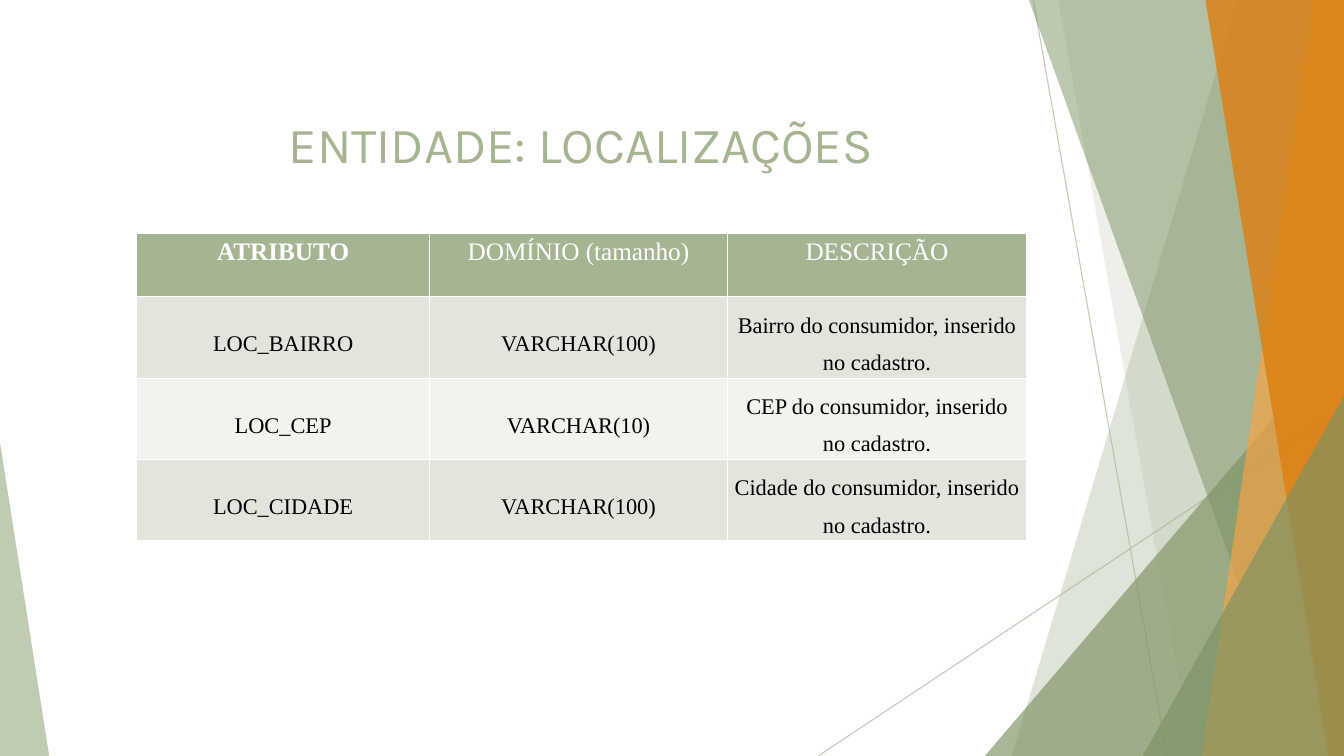
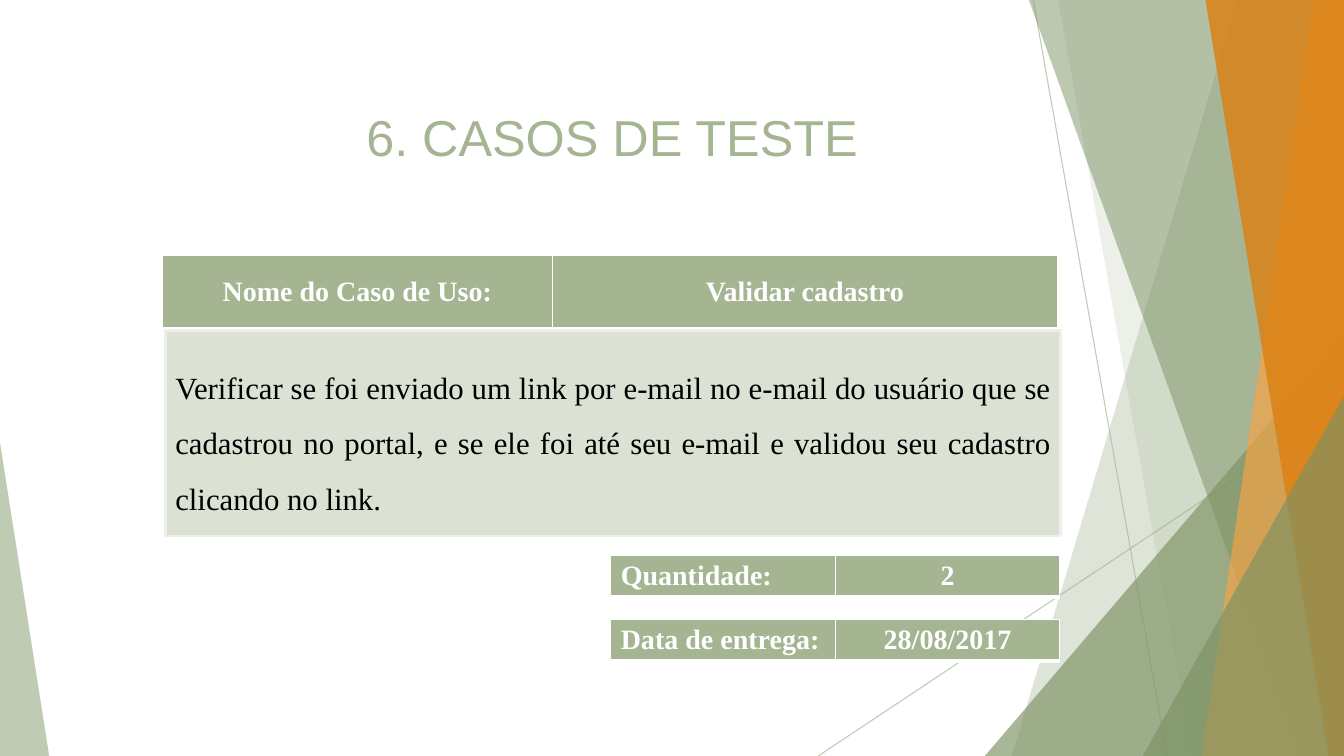
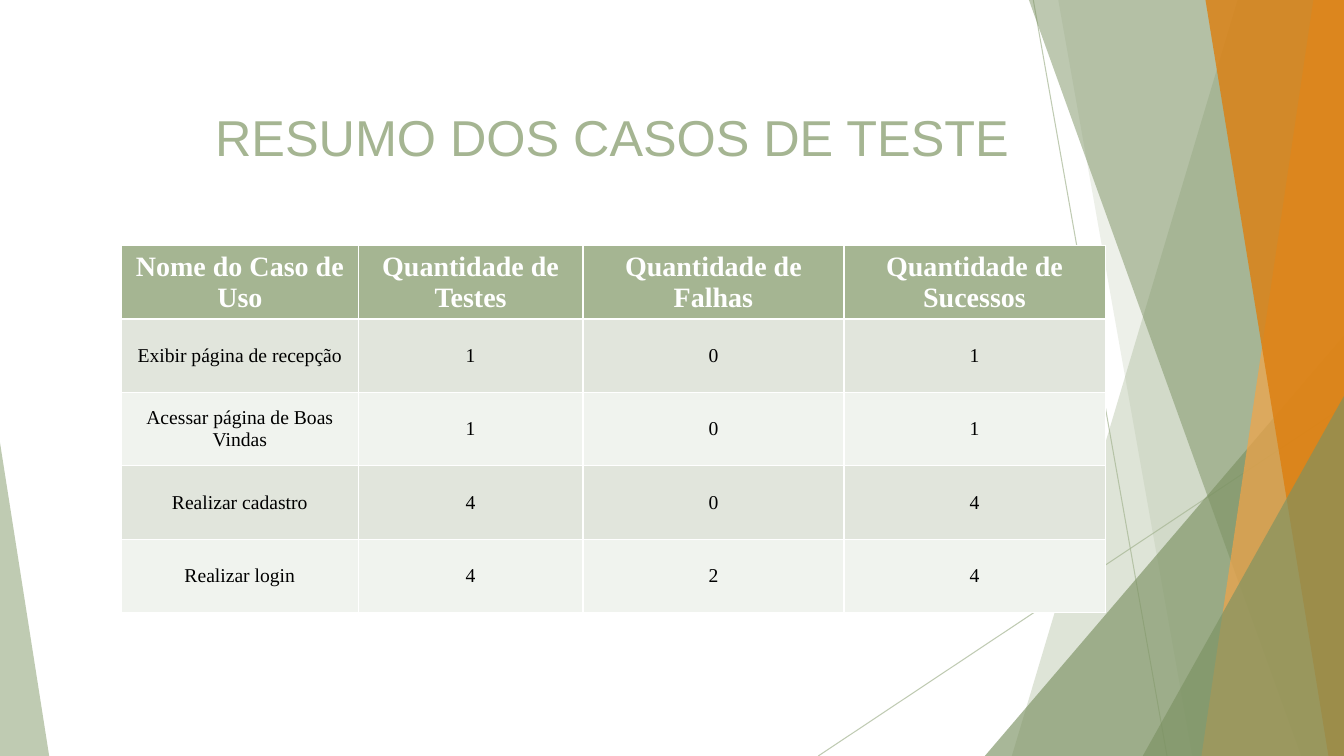
from dataclasses import dataclass

from lxml import etree
from pptx import Presentation
from pptx.dml.color import RGBColor
from pptx.enum.shapes import MSO_CONNECTOR, MSO_SHAPE
from pptx.enum.text import MSO_ANCHOR, MSO_AUTO_SIZE, PP_ALIGN
from pptx.oxml.ns import qn
from pptx.util import Cm, Pt


@dataclass(frozen=True)
class Theme:
    sage: str = "A5B592"
    moss: str = "7C9263"
    amber: str = "F3A447"
    orange: str = "DD7E0E"
    white: str = "FFFFFF"
    black: str = "000000"
    row_fills: tuple = ("E1E5DC", "F0F3EE")
    box_fill: str = "DBE1D3"
    box_line: str = "EDF0E9"
    serif: str = "Times New Roman"
    sans: str = "Arial"
    display: str = "Karla"
    title: int = 36
    box: int = 22
    header: int = 20
    header_small: int = 18
    body: int = 16
    body_small: int = 14


T = Theme()
W, H = 33.87, 19.05  # slide size in cm

# ---- Content (lengths in cm) ----
LOCATIONS = [
    ("ATRIBUTO", "DOMÍNIO (tamanho)", "DESCRIÇÃO"),
    ("LOC_BAIRRO", "VARCHAR(100)", "Bairro do consumidor, inserido no cadastro."),
    ("LOC_CEP", "VARCHAR(10)", "CEP do consumidor, inserido no cadastro."),
    ("LOC_CIDADE", "VARCHAR(100)", "Cidade do consumidor, inserido no cadastro."),
]
USE_CASE = [("Nome do Caso de Uso:", "Validar cadastro")]
USE_CASE_TEXT = (
    "Verificar se foi enviado um link por e-mail no e-mail do usuário que se "
    "cadastrou no portal, e se ele foi até seu e-mail e validou seu cadastro "
    "clicando no link."
)
FACTS = [("Quantidade:", "2"), ("Data de entrega:", "28/08/2017")]
SUMMARY = [
    ("Nome do Caso de Uso", "Quantidade de Testes",
     "Quantidade de Falhas", "Quantidade de Sucessos"),
    ("Exibir página de recepção", "1", "0", "1"),
    ("Acessar página de Boas Vindas", "1", "0", "1"),
    ("Realizar cadastro", "4", "0", "4"),
    ("Realizar login", "4", "2", "4"),
]

# ---- Background: hairlines, then bands and wedges from back to front ----
HAIRLINES = [(26.04, 0, 29.41, H), (W, 10.24, 20.62, H)]
BACKDROP = [  # band: top x, bottom x; wedge: left, top, width, apex side
    ("band", (31.19, 25.5), T.sage, 36),
    ("band", (26.67, 30.05), T.sage, 20),
    ("wedge", (24.82, 8.46, 9.05, 1), T.moss, 66),
    ("band", (25.93, 32.79), T.moss, 50),
    ("band", (33.1, 30.28), T.amber, 70),
    ("band", (30.38, 33.48), T.orange, 80),
    ("wedge", (28.8, 9.98, 5.07, 1), T.moss, 66),
    ("wedge", (0, 11.15, 1.24, 0), T.sage, 70),
]


def rgb(color):
    return RGBColor.from_string(color)


def set_alpha(shape, percent):
    for clr in shape.element.iter(qn("a:srgbClr")):
        etree.SubElement(clr, qn("a:alpha")).set("val", str(percent * 1000))


def add_hairline(s, x1, y1, x2, y2):
    line = s.shapes.add_connector(
        MSO_CONNECTOR.STRAIGHT, Cm(x1), Cm(y1), Cm(x2), Cm(y2))
    line.line.color.rgb = rgb(T.sage)
    line.line.width = Pt(0.75)
    etree.SubElement(line.element.spPr, qn("a:effectLst"))
    set_alpha(line, 70)
    return line


def add_backdrop_part(s, kind, place, color, percent):
    if kind == "band":
        top_x, bottom_x = place
        outline = s.shapes.build_freeform(Cm(top_x), 0)
        outline.add_line_segments(
            [(Cm(W), 0), (Cm(W), Cm(H)), (Cm(bottom_x), Cm(H))], close=True)
        sp = outline.convert_to_shape()
    else:
        left, top, width, apex = place
        sp = s.shapes.add_shape(MSO_SHAPE.ISOSCELES_TRIANGLE, Cm(left), Cm(top),
                                Cm(width), Cm(H - top))
        sp.adjustments[0] = apex
    sp.shadow.inherit = False
    sp.fill.solid()
    sp.fill.fore_color.rgb = rgb(color)
    sp.line.fill.background()
    set_alpha(sp, percent)
    return sp


def move_to_layout(parts, layout):
    """Put the parts behind the layout's placeholders, with ids of their own."""
    tree = layout.shapes.element
    for i, part in enumerate(parts):
        part.element.xpath("./*/p:cNvPr")[0].set("id", str(100 + i))
        tree.insert(2 + i, part.element)


def style_text(tf, size, color, font=T.serif, bold=False,
               align=PP_ALIGN.CENTER, spacing=None):
    for p in tf.paragraphs:
        p.alignment = align
        if spacing:
            p.line_spacing = spacing
        for r in p.runs:
            r.font.size = Pt(size)
            r.font.name = font
            r.font.bold = bold
            r.font.color.rgb = rgb(color)


def set_title(s, text, left=1.93, top=2.54, font=T.sans):
    title = s.shapes.title
    title.left, title.top, title.width, title.height = (
        Cm(left), Cm(top), Cm(27), Cm(1.8))
    tf = title.text_frame
    tf.text = text
    tf.word_wrap = True
    tf.auto_size = MSO_AUTO_SIZE.NONE
    tf.vertical_anchor = MSO_ANCHOR.MIDDLE
    style_text(tf, T.title, T.sage, font)


def set_borders(cell, bottom):
    tc_pr = cell._tc.get_or_add_tcPr()
    for side, width in (("L", 1), ("R", 1), ("T", 1), ("B", bottom)):
        ln = etree.SubElement(tc_pr, qn(f"a:ln{side}"), w=str(Pt(width)))
        fill = etree.SubElement(ln, qn("a:solidFill"))
        etree.SubElement(fill, qn("a:srgbClr"), val=T.white)


def add_grid(s, rows, left, top, widths, heights,
             header_size=T.header, body_size=T.body_small):
    """Table with a sage header row and banded rows below it."""
    table = s.shapes.add_table(len(rows), len(widths), Cm(left), Cm(top),
                               Cm(sum(widths)), Cm(sum(heights))).table
    table.first_row = table.horz_banding = False
    for col, width in zip(table.columns, widths):
        col.width = Cm(width)
    for i, (row, height) in enumerate(zip(rows, heights)):
        table.rows[i].height = Cm(height)
        for j, text in enumerate(row):
            cell = table.cell(i, j)
            set_borders(cell, bottom=3 if len(rows) == 1 else 1)
            cell.fill.solid()
            cell.fill.fore_color.rgb = rgb(
                T.row_fills[(i - 1) % 2] if i else T.sage)
            cell.vertical_anchor = MSO_ANCHOR.MIDDLE
            cell.text_frame.text = text
            if i:
                style_text(cell.text_frame, body_size, T.black)
            else:
                style_text(cell.text_frame, header_size, T.white, bold=True)
    return table


def build_locations(s):
    set_title(s, "ENTIDADE: LOCALIZAÇÕES", 1.14, 2.72, T.display)
    table = add_grid(s, LOCATIONS, 3.45, 5.88, [7.37, 7.52, 7.52],
                     [1.6] + [2.05] * 3, T.header_small, T.body)
    for j in range(3):
        header = table.cell(0, j)
        header.vertical_anchor = MSO_ANCHOR.TOP
        header.text_frame.paragraphs[0].runs[0].font.bold = j == 0
        for i in range(1, len(LOCATIONS)):
            cell = table.cell(i, j)
            cell.margin_left = cell.margin_right = Cm(0.15 if j == 2 else 0.03)
            cell.margin_top, cell.margin_bottom = Cm(0.03), 0
            cell.text_frame.paragraphs[0].line_spacing = 1.5


def build_use_case(s):
    set_title(s, "6. CASOS DE TESTE")
    add_grid(s, USE_CASE, 4.09, 6.43, [9.83, 12.73], [1.85])

    # Description box
    box = s.shapes.add_shape(MSO_SHAPE.RECTANGLE, Cm(4.17), Cm(8.33),
                             Cm(22.56), Cm(5.18))
    box.shadow.inherit = False
    box.fill.solid()
    box.fill.fore_color.rgb = rgb(T.box_fill)
    box.line.color.rgb = rgb(T.box_line)
    box.line.width = Pt(2)
    tf = box.text_frame
    tf.text = USE_CASE_TEXT
    tf.word_wrap = True
    tf.vertical_anchor = MSO_ANCHOR.MIDDLE
    style_text(tf, T.box, T.black, align=PP_ALIGN.JUSTIFY, spacing=1.5)

    # Quantity and delivery date
    for i, fact in enumerate(FACTS):
        table = add_grid(s, [fact], 15.39, 14 + 1.61 * i, [5.66] * 2, [1.05])
        label = table.cell(0, 0).text_frame.paragraphs[0]
        label.alignment = PP_ALIGN.LEFT


def build_summary(s):
    set_title(s, "RESUMO DOS CASOS DE TESTE")
    add_grid(s, SUMMARY, 3.06, 6.19, [5.97, 5.66, 6.58, 6.58],
             [1.85] * len(SUMMARY))


def main():
    prs = Presentation()
    prs.slide_width, prs.slide_height = Cm(W), Cm(H)
    layout = prs.slide_layouts[5]  # title only
    slides = [prs.slides.add_slide(layout) for _ in range(3)]

    parts = [add_hairline(slides[0], *ends) for ends in HAIRLINES]
    parts += [add_backdrop_part(slides[0], *part) for part in BACKDROP]
    move_to_layout(parts, layout)

    for s, build in zip(slides, (build_locations, build_use_case, build_summary)):
        build(s)
    prs.save("out.pptx")


if __name__ == "__main__":
    main()
